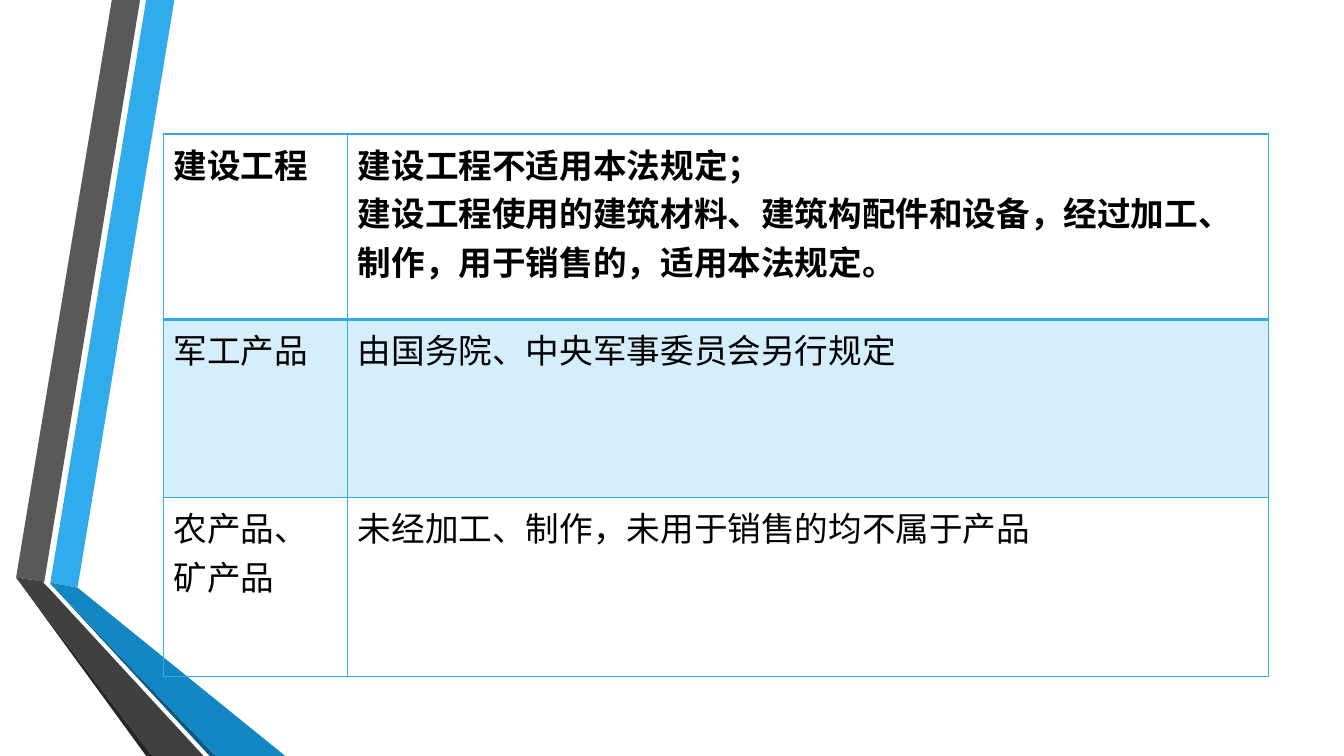
from lxml.etree import SubElement
from pptx import Presentation
from pptx.dml.color import RGBColor
from pptx.oxml import parse_xml
from pptx.oxml.ns import nsdecls, qn
from pptx.util import Inches, Pt

COLORS = {
    "sky": "30ACEC",
    "blue": "1287C3",
    "navy": "0C5A82",
    "gray": "595959",
    "coal": "404040",
    "dark": "262626",
    "ink": "000000",
}

BANDS = [
    ("sky", [(0.5, 5.78), (0.77, 5.83), (1.73, 0), (1.45, 0)]),
    ("gray", [(1.39, 0), (1.11, 0), (0.16, 5.73), (0.44, 5.77)]),
    ("dark", [(0.16, 5.73), (1.45, 7.5), (1.51, 7.5)]),
    ("navy", [(0.5, 5.79), (2.08, 7.5), (2.14, 7.5)]),
    ("blue", [(0.5, 5.79), (2.14, 7.5), (2.83, 7.5), (0.77, 5.83), (0.5, 5.78)]),
    ("coal", [(2.02, 7.5), (0.48, 5.83), (0.43, 5.78), (0.44, 5.77),
              (0.16, 5.73), (1.51, 7.5)]),
]

ROWS = [
    ("建设工程", "建设工程不适用本法规定；\n"
     "建设工程使用的建筑材料、建筑构配件和设备，经过加工、制作，用于销售的，适用本法规定。"),
    ("军工产品", "由国务院、中央军事委员会另行规定"),
    ("农产品、矿产品", "未经加工、制作，未用于销售的均不属于产品"),
]
WIDTHS = [1.83, 9.13]
HEIGHTS = [1.84, 1.77, 1.77]


def rgb(name):
    """Return the named colour."""
    return RGBColor.from_string(COLORS[name])


def add_band(slide, color, points):
    """Draw one closed, filled outline through points in inches."""
    start, *rest = [(Inches(x), Inches(y)) for x, y in points]
    pen = slide.shapes.build_freeform(*start)
    pen.add_line_segments(rest, close=True)
    band = pen.convert_to_shape()
    band.shadow.inherit = False
    band.fill.solid()
    band.fill.fore_color.rgb = rgb(color)
    band.line.fill.background()


def put_text(frame, text, size=24, bold=False, color="ink", font="Lato"):
    """Fill a text frame, one paragraph per line of text."""
    frame.text = text
    frame.word_wrap = True
    for para in frame.paragraphs:
        for run in para.runs:
            run.font.size = Pt(size)
            run.font.bold = bold
            run.font.name = font
            run.font.color.rgb = rgb(color)


def set_edges(cell, color, **widths):
    """Set the cell borders, widths in points keyed by L, R, T, B."""
    props = cell._tc.get_or_add_tcPr()
    for spot, (side, width) in enumerate(widths.items()):
        props.insert(spot, parse_xml(
            f'<a:ln{side} {nsdecls("a")} w="{Pt(width)}"><a:solidFill>'
            f'<a:srgbClr val="{COLORS[color]}"/></a:solidFill></a:ln{side}>'))


def set_tint(cell, color, percent):
    """Fill a cell with a see-through colour."""
    cell.fill.solid()
    cell.fill.fore_color.rgb = rgb(color)
    tone = cell._tc.tcPr.find(".//" + qn("a:srgbClr"))
    SubElement(tone, qn("a:alpha")).set("val", str(percent * 1000))


def add_grid(slide, left, top):
    """Add the table of product kinds and the rules for them."""
    frame = slide.shapes.add_table(
        len(ROWS), len(WIDTHS), Inches(left), Inches(top),
        Inches(sum(WIDTHS)), Inches(sum(HEIGHTS)))
    table = frame.table
    table.first_row = table.horz_banding = False
    for col, width in zip(table.columns, WIDTHS):
        col.width = Inches(width)
    for r, (row, height) in enumerate(zip(table.rows, HEIGHTS)):
        row.height = Inches(height)
        for cell, text in zip(row.cells, ROWS[r]):
            put_text(cell.text_frame, text, bold=r == 0)
            if r == 1:
                set_tint(cell, "sky", 20)
            else:
                cell.fill.background()
            set_edges(cell, "sky", L=1, R=1, T=2 if r == 1 else 1,
                      B=2 if r == 0 else 1)


def main():
    """Build the slide and save it."""
    deck = Presentation()
    deck.slide_width = Inches(13.33)
    deck.slide_height = Inches(7.5)
    slide = deck.slides.add_slide(deck.slide_layouts[6])
    for color, points in BANDS:
        add_band(slide, color, points)
    add_grid(slide, 1.62, 1.33)
    deck.save("out.pptx")


main()
